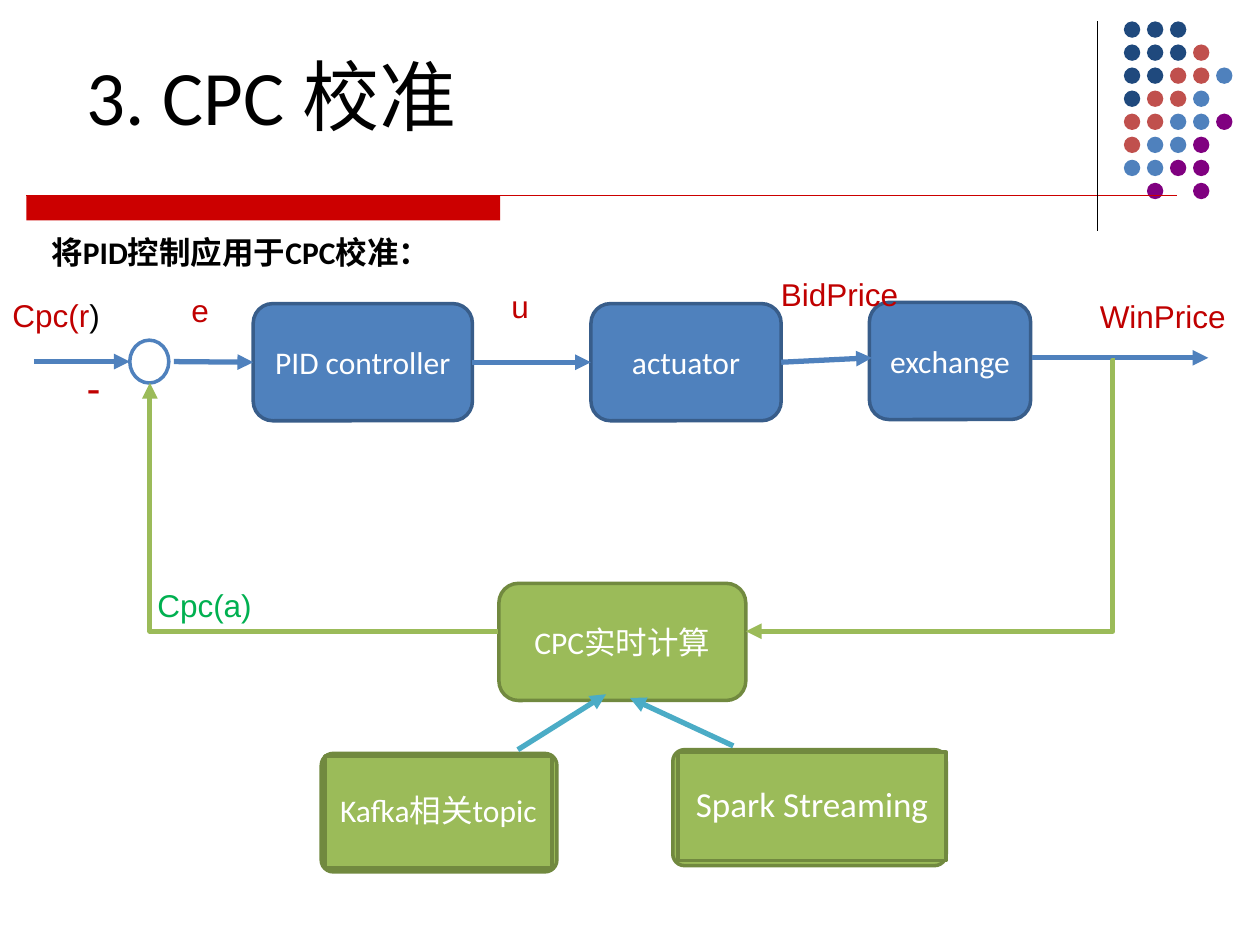
import pptx
import pptx.util
import pptx.dml.color
import pptx.enum.shapes
import pptx.enum.text
import pptx.oxml
import pptx.oxml.ns
from pptx.util import Inches

SHAPE = pptx.enum.shapes.MSO_SHAPE
CONNECTOR = pptx.enum.shapes.MSO_CONNECTOR
ALIGN = pptx.enum.text.PP_ALIGN
ANCHOR = pptx.enum.text.MSO_ANCHOR

BLUE, BLUE_EDGE = "4F81BD", "385D8A"
GREEN, GREEN_EDGE = "9BBB59", "71893F"
TEAL, RED, BRIGHT_RED = "4BACC6", "C00000", "CC0000"
WHITE, BLACK = "FFFFFF", "000000"
DOT_COLORS = {"n": "1F497D", "r": "C0504D", "b": BLUE, "p": "800080"}
DOT_ROWS = ["nnn", "nnnr", "nnrrb", "nrrb", "rrbbp", "rbbp", "bbpp", " p p"]
LEFT, RIGHT = 1, 3


def rgb(color):
    return pptx.dml.color.RGBColor.from_string(color)


def add_element(parent, tag, **attrs):
    child = pptx.oxml.parse_xml(f"<a:{tag} {pptx.oxml.ns.nsdecls('a')}/>")
    for name, value in attrs.items():
        child.set(name, value)
    parent.append(child)


def style_runs(p, size, color, font, bold=False):
    for r in p.runs:
        r.font.size = pptx.util.Pt(size)
        r.font.name = font
        r.font.bold = bold
        r.font.color.rgb = rgb(color)


def add_box(shapes, kind, at, fill, edge=None, adj=None):
    s = shapes.add_shape(kind, *map(Inches, at))
    s.shadow.inherit = False
    s.fill.solid()
    s.fill.fore_color.rgb = rgb(fill)
    if edge:
        s.line.color.rgb = rgb(edge)
        s.line.width = pptx.util.Pt(2)
    else:
        s.line.fill.background()
    if adj is not None:
        s.adjustments[0] = adj
    return s


def fill_text(s, text, size=18):
    tf = s.text_frame
    tf.word_wrap = True
    tf.vertical_anchor = ANCHOR.MIDDLE
    tf.text = text
    p = tf.paragraphs[0]
    p.alignment = ALIGN.CENTER
    style_runs(p, size, WHITE, "Calibri")
    return tf


def add_block(shapes, text, at, fill=BLUE, edge=BLUE_EDGE):
    s = add_box(shapes, SHAPE.ROUNDED_RECTANGLE, at, fill, edge, 0.167)
    fill_text(s, text)
    return s


def add_source(shapes, text, outer, inner, size):
    """A rounded frame grouped with the rectangle that carries its text."""
    group = shapes.add_group_shape().shapes
    add_box(group, SHAPE.ROUNDED_RECTANGLE, outer, GREEN, GREEN_EDGE, 0.1)
    s = add_box(group, SHAPE.RECTANGLE, inner, GREEN, GREEN_EDGE)
    tf = fill_text(s, text, size)
    tf.margin_left = tf.margin_right = Inches(0.12)
    tf.margin_top = tf.margin_bottom = Inches(0.12)
    tf.paragraphs[0].line_spacing = 0.9


def add_line(shapes, start, end, color, width=0.75, kind=CONNECTOR.STRAIGHT):
    s = shapes.add_connector(kind, *map(Inches, start + end))
    s.line.color.rgb = rgb(color)
    s.line.width = pptx.util.Pt(width)
    add_element(s._element.spPr, "effectLst")
    return s


def add_arrow(shapes, start, end, color, kind=CONNECTOR.STRAIGHT):
    s = add_line(shapes, start, end, color, 3, kind)
    add_element(s.line._get_or_add_ln(), "tailEnd", type="triangle")
    return s


def add_elbow(shapes, start, end, color, preset, adj=None):
    s = add_arrow(shapes, start, end, color, CONNECTOR.ELBOW)
    geometry = s._element.spPr.find(pptx.oxml.ns.qn("a:prstGeom"))
    geometry.set("prst", preset)
    if adj is not None:
        guides = geometry.find(pptx.oxml.ns.qn("a:avLst"))
        add_element(guides, "gd", name="adj1", fmla=f"val {round(adj * 100000)}")


def add_text(shapes, at, parts, size=18, font="Arial", bold=False,
             anchor=ANCHOR.TOP):
    """One paragraph made of (text, colour) parts."""
    tf = shapes.add_textbox(*map(Inches, at)).text_frame
    tf.word_wrap = True
    tf.vertical_anchor = anchor
    p = tf.paragraphs[0]
    for text, color in parts:
        r = p.add_run()
        r.text = text
    style_runs(p, size, BLACK, font, bold)
    for r, (text, color) in zip(p.runs, parts):
        r.font.color.rgb = rgb(color)


def add_decoration(shapes):
    pitch = 0.183
    for row, codes in enumerate(DOT_ROWS):
        for col, code in enumerate(codes):
            if code in DOT_COLORS:
                at = (8.92 + col * pitch, 0.17 + row * pitch, 0.13, 0.13)
                add_box(shapes, SHAPE.OVAL, at, DOT_COLORS[code])
    add_box(shapes, SHAPE.RECTANGLE, (0.21, 1.55, 3.76, 0.2), BRIGHT_RED)
    add_line(shapes, (0.21, 1.55), (9.34, 1.55), BRIGHT_RED)
    add_line(shapes, (8.71, 0.17), (8.71, 1.83), BLACK)


def add_control_loop(shapes):
    controller = add_block(shapes, "PID controller", (2.01, 2.41, 1.74, 0.93))
    actuator = add_block(shapes, "actuator", (4.69, 2.41, 1.51, 0.93))
    add_block(shapes, "exchange", (6.9, 2.4, 1.28, 0.93))
    add_block(shapes, "CPC实时计算", (3.96, 4.63, 1.96, 0.93), GREEN, GREEN_EDGE)
    add_box(shapes, SHAPE.OVAL, (1.03, 2.7, 0.31, 0.34), WHITE, BLUE)

    add_arrow(shapes, (0.27, 2.87), (1.03, 2.87), BLUE)
    error = add_arrow(shapes, (1.38, 2.87), (2.01, 2.87), BLUE)
    error.end_connect(controller, LEFT)
    control = add_arrow(shapes, (3.75, 2.87), (4.69, 2.87), BLUE)
    control.begin_connect(controller, RIGHT)
    control.end_connect(actuator, LEFT)
    bid = add_arrow(shapes, (6.19, 2.86), (6.92, 2.84), BLUE)
    bid.begin_connect(actuator, RIGHT)
    add_arrow(shapes, (8.19, 2.84), (9.59, 2.84), BLUE)
    add_elbow(shapes, (8.85, 2.86), (5.92, 5.01), GREEN, "bentConnector3", 0.006)
    add_elbow(shapes, (3.95, 5.01), (1.19, 3.04), GREEN, "bentConnector2")


def add_data_sources(shapes):
    add_source(shapes, "Kafka相关topic", (2.55, 5.98, 1.87, 0.94),
               (2.58, 6, 1.8, 0.89), 18)
    add_source(shapes, "Spark Streaming", (5.34, 5.95, 2.17, 0.92),
               (5.38, 5.97, 2.13, 0.86), 20)
    add_arrow(shapes, (4.11, 5.95), (4.81, 5.51), TEAL)
    add_arrow(shapes, (5.82, 5.92), (5, 5.54), TEAL)


def add_signal_labels(shapes):
    add_text(shapes, (0, 2.3, 1.09, 0.4), [("Cpc(r", RED), (")", BLACK)])
    add_text(shapes, (0.59, 2.82, 0.27, 0.5), [("-", RED)], 24)
    for text, color, left, top, width in [
        ("Cpc(a)", "00B050", 1.15, 4.6, 1.09),
        ("e", RED, 1.42, 2.26, 0.51),
        ("u", RED, 3.96, 2.23, 0.42),
        ("BidPrice", RED, 6.1, 2.13, 1.2),
        ("WinPrice", RED, 8.63, 2.31, 1.39),
    ]:
        add_text(shapes, (left, top, width, 0.4), [(text, color)])


def main():
    prs = pptx.Presentation()
    prs.slide_width, prs.slide_height = Inches(10), Inches(7.5)
    shapes = prs.slides.add_slide(prs.slide_layouts[6]).shapes
    add_decoration(shapes)
    add_text(shapes, (0.59, 0.13, 9, 1.25), [("3. CPC 校准", BLACK)], 44,
             "Calibri", anchor=ANCHOR.MIDDLE)
    add_text(shapes, (0.31, 1.8, 9, 4.95), [("将PID控制应用于CPC校准：", BLACK)], 18,
             "Calibri", bold=True)
    add_control_loop(shapes)
    add_data_sources(shapes)
    add_signal_labels(shapes)
    prs.save("out.pptx")


if __name__ == "__main__":
    main()
